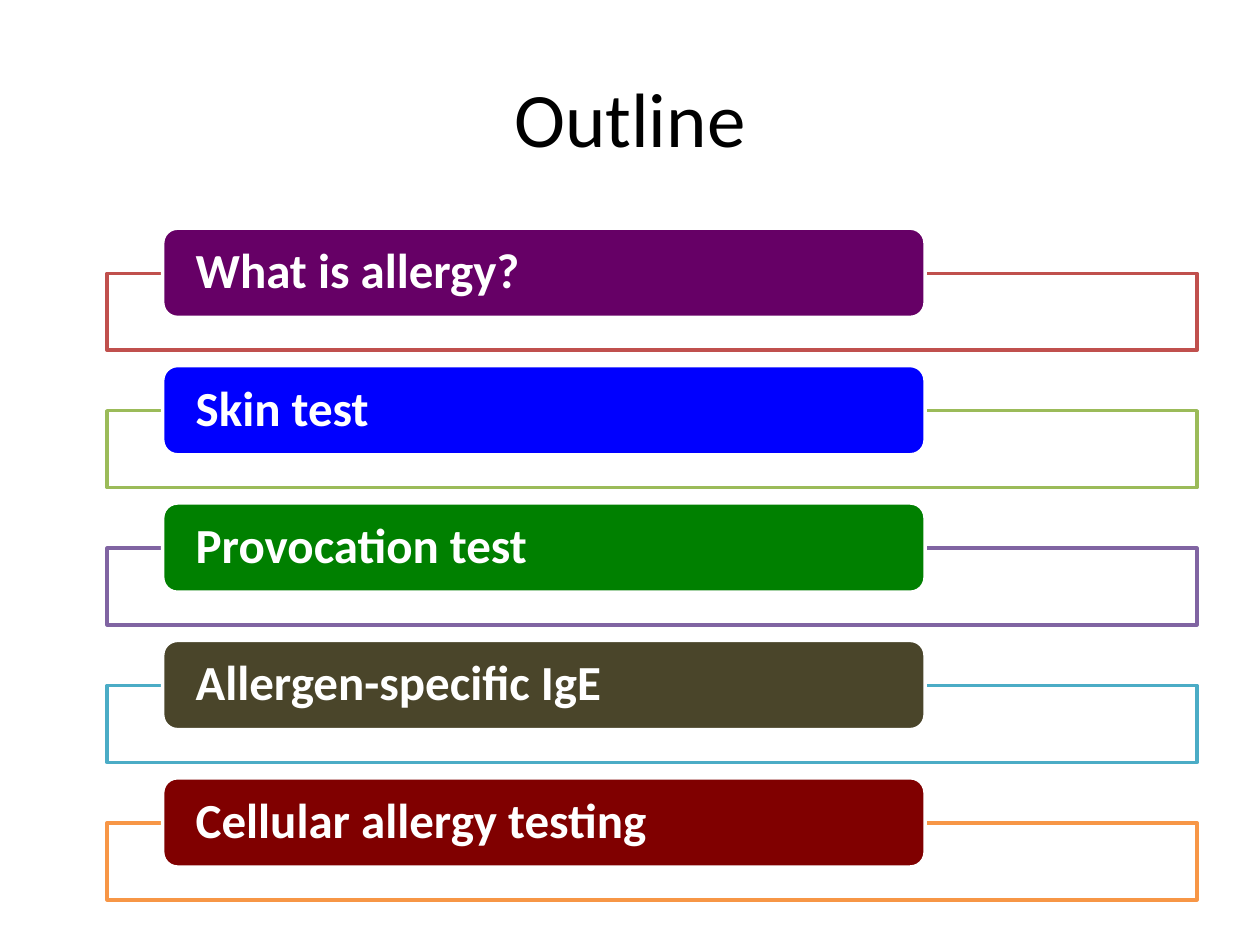
import pptx
import pptx.dml.color
import pptx.enum.shapes
import pptx.enum.text
import pptx.oxml.ns
import pptx.util
from lxml import etree

Cm = pptx.util.Cm
RGBColor = pptx.dml.color.RGBColor
MSO_SHAPE = pptx.enum.shapes.MSO_SHAPE
PP_ALIGN = pptx.enum.text.PP_ALIGN

BLACK = RGBColor(0x00, 0x00, 0x00)
WHITE = RGBColor(0xFF, 0xFF, 0xFF)
RED = RGBColor(0xC0, 0x50, 0x4D)
LIME = RGBColor(0x9B, 0xBB, 0x59)
VIOLET = RGBColor(0x80, 0x64, 0xA2)
AQUA = RGBColor(0x4B, 0xAC, 0xC6)
ORANGE = RGBColor(0xF7, 0x96, 0x46)
PURPLE = RGBColor(0x66, 0x00, 0x66)
BLUE = RGBColor(0x00, 0x00, 0xFF)
GREEN = RGBColor(0x00, 0x80, 0x00)
OLIVE = RGBColor(0x4A, 0x45, 0x2A)
MAROON = RGBColor(0x80, 0x00, 0x00)

# Topic, colour of its label, colour of the frame behind it
TOPICS = [
    ("What is allergy?", PURPLE, RED),
    ("Skin test", BLUE, LIME),
    ("Provocation test", GREEN, VIOLET),
    ("Allergen-specific IgE", OLIVE, AQUA),
    ("Cellular allergy testing", MAROON, ORANGE),
]
FIRST_TOP = 4.6
ROW_PITCH = 2.77
FRAME_DROP = 0.91


class OutlineSlide:
    """Style and drawing methods for the current slide."""

    font_name = "Calibri"
    line_width = pptx.util.Pt(2)

    def __init__(self, slide):
        self.slide = slide

    def set_text(self, shape, text, size, color, align, bold=False):
        content = shape.text_frame
        content.word_wrap = True
        content.vertical_anchor = pptx.enum.text.MSO_ANCHOR.MIDDLE
        content.text = text
        paragraph = content.paragraphs[0]
        paragraph.alignment = align
        font = paragraph.runs[0].font
        font.name = self.font_name
        font.size = pptx.util.Pt(size)
        font.bold = bold
        font.color.rgb = color
        return content

    def title(self, text, left, top, width, height):
        heading = self.slide.shapes.add_textbox(
            Cm(left), Cm(top), Cm(width), Cm(height))
        self.set_text(heading, text, 44, BLACK, PP_ALIGN.CENTER)

    def panel(self, kind, left, top, width, height, fill, line):
        panel = self.slide.shapes.add_shape(
            kind, Cm(left), Cm(top), Cm(width), Cm(height))
        panel.shadow.inherit = False
        panel.fill.solid()
        panel.fill.fore_color.rgb = fill
        panel.line.color.rgb = line
        panel.line.width = self.line_width
        return panel

    def topic_frame(self, top, line):
        frame = self.panel(MSO_SHAPE.RECTANGLE, 2.16, top, 21.97, 1.55, WHITE, line)
        # Slightly see-through fill
        qn = pptx.oxml.ns.qn
        fill_color = frame.element.spPr.find(qn("a:solidFill")).find(qn("a:srgbClr"))
        etree.SubElement(fill_color, qn("a:alpha"), val="90000")

    def topic_label(self, text, top, fill):
        label = self.panel(
            MSO_SHAPE.ROUNDED_RECTANGLE, 3.28, top, 15.37, 1.8, fill, WHITE)
        content = self.set_text(label, text, 28, WHITE, PP_ALIGN.LEFT, bold=True)
        content.margin_left = content.margin_right = Cm(0.58)
        content.margin_top = content.margin_bottom = 0
        content.paragraphs[0].line_spacing = 0.9


def main():
    presentation = pptx.Presentation()
    presentation.slide_width = Cm(25.4)
    presentation.slide_height = Cm(19.05)
    blank_layout = presentation.slide_layouts[6]
    outline = OutlineSlide(presentation.slides.add_slide(blank_layout))

    # Heading
    outline.title("Outline", 1.27, 0.76, 22.86, 3.18)

    # Topic rows
    for row, (topic, label_color, frame_color) in enumerate(TOPICS):
        top = FIRST_TOP + row * ROW_PITCH
        outline.topic_frame(top + FRAME_DROP, frame_color)
        outline.topic_label(topic, top, label_color)

    presentation.save("out.pptx")


if __name__ == "__main__":
    main()
